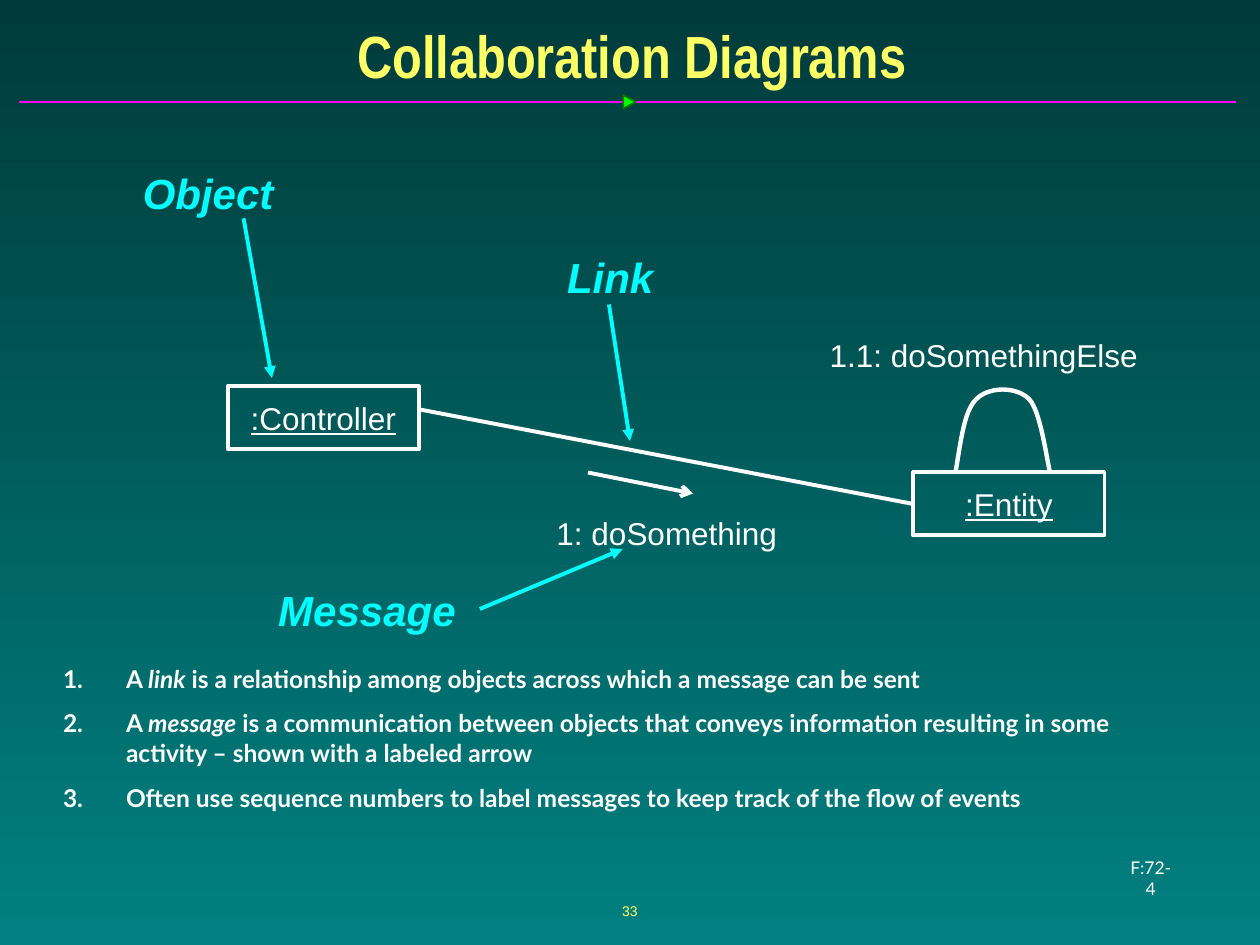
from dataclasses import dataclass
from lxml.etree import SubElement
from pptx import Presentation
from pptx.dml.color import RGBColor as Rgb
from pptx.enum.shapes import MSO_CONNECTOR as Link, MSO_SHAPE as Kind
from pptx.enum.text import MSO_ANCHOR as Anchor, MSO_AUTO_SIZE as Auto, PP_ALIGN as Align
from pptx.oxml.ns import qn
from pptx.util import Inches, Pt

COLS, ROWS = 120, 90


@dataclass(frozen=True)
class Theme:
    """Colours, fonts and type sizes of the deck."""
    top: str = "003B3B"
    base: str = "008080"
    gold: str = "FFFF66"
    white: str = "FFFFFF"
    cyan: str = "00FFFF"
    rule: str = "FF01FF"
    mark: str = "00FF00"
    edge: str = "037C03"
    sans: str = "Arial"
    slim: str = "Arial Narrow"
    prose: str = "Lato"
    head: int = 34
    call: int = 24
    label: int = 18
    body: int = 14
    ref: int = 10
    page: int = 8
    thin: float = 1
    line: float = 2.25
    loop: float = 2.5


T = Theme()


@dataclass(frozen=True)
class Box:
    """A region of the slide, measured in grid columns and rows."""
    x: float
    y: float
    w: float
    h: float

    def spot(self, x, y):
        """Turn a place inside the box into slide lengths."""
        return Inches((self.x + x) * 10 / COLS), Inches((self.y + y) * 7.5 / ROWS)

    def area(self, x, y, w, h):
        """Turn an area inside the box into left, top, width and height."""
        return *self.spot(x, y), Inches(w * 10 / COLS), Inches(h * 7.5 / ROWS)


def paint(run, size, color, face=T.sans, bold=False, slant=False, under=False):
    """Format one run."""
    font = run.font
    font.size, font.name = Pt(size), face
    font.bold, font.italic, font.underline = bold, slant, under
    font.color.rgb = Rgb.from_string(color)


def fill_text(shape, text, size, color, align=Align.LEFT, pad=True, wrap=True,
              anchor=Anchor.MIDDLE, **style):
    """Set one formatted line of text in a shape."""
    frame = shape.text_frame
    frame.text = text
    frame.auto_size = Auto.NONE
    frame.word_wrap, frame.vertical_anchor = wrap, anchor
    side, end = (0.1, 0.05) if pad else (0, 0)
    frame.margin_left = frame.margin_right = Inches(side)
    frame.margin_top = frame.margin_bottom = Inches(end)
    para = frame.paragraphs[0]
    para.alignment = align
    paint(para.runs[0], size, color, **style)


def draw_line(slide, box, start, end, color=T.white, width=T.line, tip=None):
    """Draw a straight line, with an arrowhead if a tip is named."""
    line = slide.shapes.add_connector(Link.STRAIGHT, *box.spot(*start), *box.spot(*end))
    line.line.color.rgb = Rgb.from_string(color)
    line.line.width = Pt(width)
    if tip:
        SubElement(line.line._get_or_add_ln(), qn("a:tailEnd"), type=tip)
    SubElement(line._element.spPr, qn("a:effectLst"))
    return line


def add_head(slide, box):
    """Place the title with its rule and marker."""
    draw_line(slide, box, (1.8, 9.7), (117.7, 9.7), T.rule, T.thin)
    mark = slide.shapes.add_shape(Kind.ISOSCELES_TRIANGLE, *box.area(59.3, 9.1, 1.3, 1.2))
    mark.rotation = 90
    mark.shadow.inherit = False
    mark.fill.solid()
    mark.fill.fore_color.rgb = Rgb.from_string(T.mark)
    mark.line.color.rgb = Rgb.from_string(T.edge)
    mark.line.width = Pt(T.thin)
    title = slide.shapes.title
    title.left, title.top, title.width, title.height = box.area(1.2, 1.7, 118, 7)
    fill_text(title, "Collaboration Diagrams", T.head, T.gold, Align.CENTER,
              face=T.slim, bold=True)


def add_node(slide, box, x, y, name):
    """Draw one object as an outlined, underlined box."""
    node = slide.shapes.add_shape(Kind.RECTANGLE, *box.area(x, y, 18.2, 6))
    node.shadow.inherit = False
    node.fill.background()
    node.line.color.rgb = Rgb.from_string(T.white)
    node.line.width = Pt(T.line)
    fill_text(node, name, T.label, T.white, Align.CENTER, pad=False, under=True)
    return node


def curve(a, b, c, d, steps=12):
    """List the points of a cubic curve after its start."""
    times = [n / steps for n in range(1, steps + 1)]
    return [tuple((1 - t) ** 3 * p + 3 * t * (1 - t) ** 2 * q
                  + 3 * t * t * (1 - t) * r + t ** 3 * s
                  for p, q, r, s in zip(a, b, c, d)) for t in times]


def add_loop(slide, box):
    """Draw the open loop for a message sent to itself."""
    knots = [(91, 33), (91.5, 30.1), (91.8, 27.1), (93, 26), (94.2, 24.8),
             (96.8, 24.8), (98, 26), (99.1, 27.1), (99.7, 31.8), (100, 33)]
    pts = [p for n in range(0, 9, 3) for p in curve(*knots[n:n + 4])]
    path = slide.shapes.build_freeform(*box.spot(*knots[0]))
    path.add_line_segments([box.spot(*p) for p in pts], close=False)
    loop = path.convert_to_shape()
    loop.shadow.inherit = False
    loop.fill.background()
    loop.line.color.rgb = Rgb.from_string(T.white)
    loop.line.width = Pt(T.loop)


def add_graph(slide, box):
    """Place the objects, their link, the messages and the callouts."""
    add_node(slide, box, 21.7, 24.8, ":Controller")
    entity = add_node(slide, box, 87, 33, ":Entity")
    draw_line(slide, box, (40, 27), (87, 36)).end_connect(entity, 1)
    draw_line(slide, box, (56, 33), (66, 35), tip="arrow")
    add_loop(slide, box)
    for text, x, y in (("1: doSomething", 53, 37), ("1.1: doSomethingElse", 79, 20)):
        label = slide.shapes.add_textbox(*box.area(x, y, 34, 3.6))
        fill_text(label, text, T.label, T.white, pad=False, anchor=Anchor.TOP)
    calls = (("Object", (13.6, 4), 12.5, (23.2, 8.8), (25.9, 24)),
             ("Link", (54, 12), 8.3, (58, 17), (60, 30)),
             ("Message", (26.5, 43.7), 16.9, (45.7, 46), (59.3, 40.3)))
    for text, place, width, start, end in calls:
        call = slide.shapes.add_textbox(*box.area(*place, width, 4.8))
        fill_text(call, text, T.call, T.cyan, pad=False, wrap=False,
                  anchor=Anchor.TOP, bold=True, slant=True)
        draw_line(slide, box, start, end, T.cyan, tip="triangle")


def add_notes(slide, box):
    """Fill the body with a numbered list; stars enclose italics."""
    items = ("A *link* is a relationship among objects across which a message can be sent",
             "A *message* is a communication between objects that conveys information "
             "resulting in some activity – shown with a labeled arrow",
             "Often use sequence numbers to label messages to keep track of the flow of events")
    body = slide.placeholders[1]
    body.left, body.top, body.width, body.height = box.area(0, 0, box.w, box.h)
    frame = body.text_frame
    frame.auto_size, frame.word_wrap = Auto.NONE, True
    frame.vertical_anchor = Anchor.TOP
    for n, item in enumerate(items):
        para = frame.add_paragraph() if n else frame.paragraphs[0]
        props = para._p.get_or_add_pPr()
        props.set("marL", str(Inches(0.5)))
        props.set("indent", str(-Inches(0.5)))
        tint = SubElement(props, qn("a:buClr"))
        SubElement(tint, qn("a:srgbClr"), val=T.white)
        SubElement(props, qn("a:buFont"), typeface=T.prose)
        SubElement(props, qn("a:buAutoNum"), type="arabicPeriod")
        para.space_before = Pt(8.8 if n else 0)
        for k, part in enumerate(item.split("*")):
            run = para.add_run()
            run.text = part
            paint(run, T.body, T.white, T.prose, bold=True, slant=k % 2 == 1)


def add_foot(slide, box):
    """Place the page number and the reference."""
    parts = (("33", (41, 1.8, 38, 6), T.page, T.gold, T.sans),
             ("F:72-4", (106.1, 0, 7, 3.2), T.ref, T.white, T.prose))
    for text, area, size, color, face in parts:
        note = slide.shapes.add_textbox(*box.area(*area))
        fill_text(note, text, size, color, Align.CENTER, face=face)


def main():
    """Build and save the slide."""
    deck = Presentation()
    deck.slide_width, deck.slide_height = Inches(10), Inches(7.5)
    slide = deck.slides.add_slide(deck.slide_layouts[1])
    back = slide.background.fill
    back.gradient()
    back.gradient_angle = 270
    for stop, color in zip(back.gradient_stops, (T.top, T.base)):
        stop.color.rgb = Rgb.from_string(color)
    add_head(slide, Box(0, 0, COLS, 12))
    add_graph(slide, Box(0, 12, COLS, 50))
    add_notes(slide, Box(4.8, 62.6, 108.8, 15.4))
    add_foot(slide, Box(0, 82, COLS, 8))
    deck.save("out.pptx")


if __name__ == "__main__":
    main()
